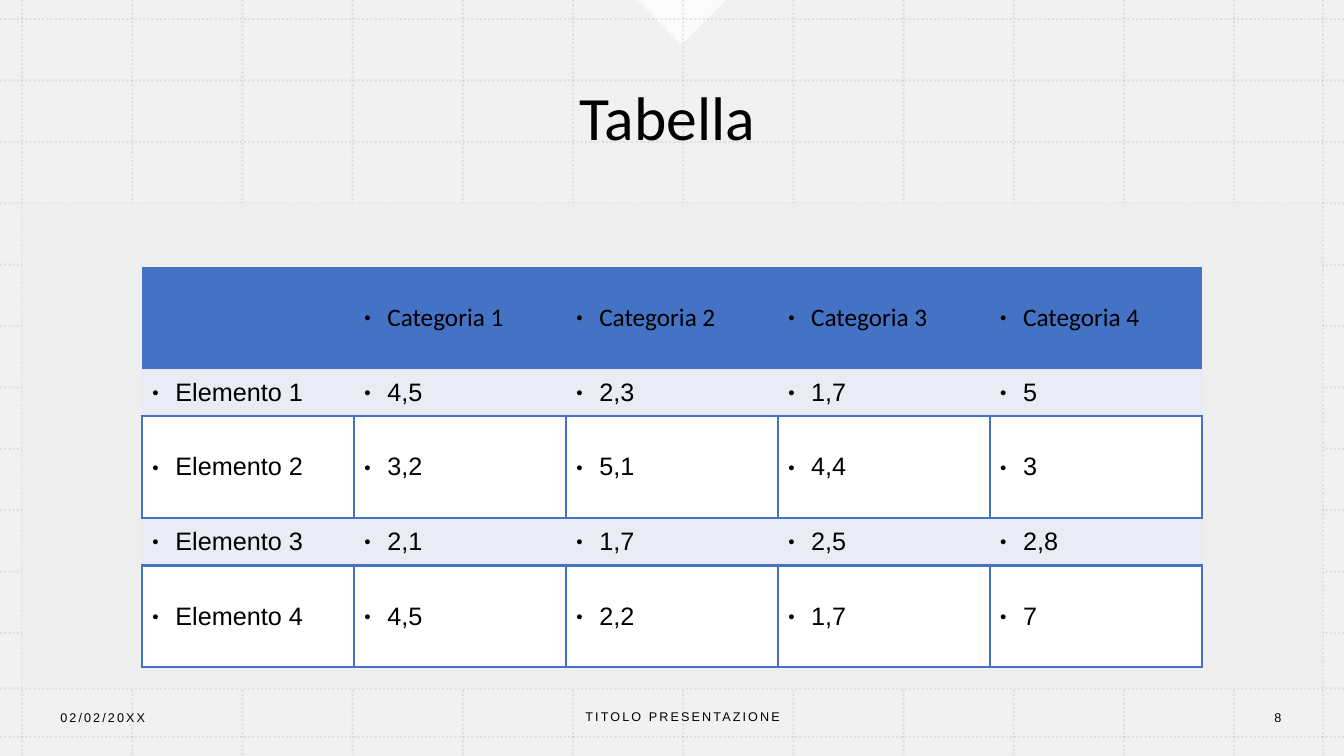
from pptx import Presentation
from pptx import util as u
from pptx.dml.color import RGBColor
from pptx.enum import dml, shapes, text
from pptx.oxml import ns, xmlchemy

Inches = u.Inches
COLORS = {"wash": "EEEEEE", "white": "FFFFFF", "grid": "9A9A9A", "ink": "000000",
          "blue": "4472C4", "band": "E9EBF5"}
NO_GRID_STYLE = "{2D5ABB26-0587-4C30-8999-92F81FD0307C}"
FOOTER = {"size": u.Pt(9), "name": "Arial"}
ROWS = [
    ["", "Categoria 1", "Categoria 2", "Categoria 3", "Categoria 4"],
    ["Elemento 1", "4,5", "2,3", "1,7", "5"],
    ["Elemento 2", "3,2", "5,1", "4,4", "3"],
    ["Elemento 3", "2,1", "1,7", "2,5", "2,8"],
    ["Elemento 4", "4,5", "2,2", "1,7", "7"],
]


def color(name):
    """Return a named colour."""
    return RGBColor.from_string(COLORS[name])


def add_element(parent, tag, **attributes):
    """Append an XML element with the given attributes."""
    element = xmlchemy.OxmlElement(tag)
    for key, value in attributes.items():
        element.set(key, str(value))
    parent.append(element)
    return element


def set_opacity(shape, percent):
    """Make the colours of a shape partly transparent."""
    for tint in shape._element.spPr.iter(ns.qn("a:srgbClr")):
        add_element(tint, "a:alpha", val=percent * 1000)


def set_font(font, formats):
    """Apply format values and the ink colour to a font."""
    for key, value in formats.items():
        setattr(font, key, value)
    font.color.rgb = color("ink")


def add_outline(page, points, fill, opacity=100):
    """Add a filled polygon."""
    corners = [(Inches(x), Inches(y)) for x, y in points]
    builder = page.shapes.build_freeform(*corners[0])
    builder.add_line_segments(corners[1:], close=True)
    shape = builder.convert_to_shape()
    shape.shadow.inherit = False
    shape.fill.solid()
    shape.fill.fore_color.rgb = color(fill)
    shape.line.fill.background()
    set_opacity(shape, opacity)


def add_panel(page, left, top, right, bottom, opacity=100):
    """Add a pale rectangle."""
    add_outline(page, [(left, top), (right, top), (right, bottom), (left, bottom)],
                "wash", opacity)


def add_grid_line(page, *ends):
    """Add one faint dotted line."""
    line = page.shapes.add_connector(shapes.MSO_CONNECTOR.STRAIGHT, *map(Inches, ends))
    line.line.color.rgb = color("grid")
    line.line.width = u.Pt(1.5)
    line.line.dash_style = dml.MSO_LINE.ROUND_DOT
    add_element(line._element.spPr, "a:effectLst")
    set_opacity(line, 20)


def add_grid(page):
    """Add the background grid."""
    for x in [0.22 + 1.0927 * i for i in range(12)] + [13.12]:
        add_grid_line(page, x, 0, x, 7.5)
    for y in [0.19 + 0.609 * i for i in range(11)] + [6.83, 7.31]:
        add_grid_line(page, 0, y, 13.33, y)


def add_text(page, place, words, formats, align="CENTER", tracking=0, line_spacing=1.0):
    """Add a vertically centred line of text."""
    box = page.shapes.add_textbox(*map(Inches, place))
    box.text_frame.word_wrap = True
    box.text_frame.vertical_anchor = text.MSO_ANCHOR.MIDDLE
    para = box.text_frame.paragraphs[0]
    para.alignment = getattr(text.PP_ALIGN, align)
    para.line_spacing = line_spacing
    span = para.add_run()
    span.text = words
    set_font(span.font, formats)
    if tracking:
        span.font._element.set("spc", str(tracking))


def add_bullet(para):
    """Give a paragraph a small hanging bullet."""
    properties = para._p.get_or_add_pPr()
    properties.set("marL", str(Inches(0.23)))
    properties.set("indent", str(Inches(-0.23)))
    tint = add_element(properties, "a:buClr")
    add_element(tint, "a:srgbClr", val=COLORS["ink"])
    add_element(properties, "a:buSzPct", val=45000)
    add_element(properties, "a:buFont", typeface="Arial")
    add_element(properties, "a:buChar", char="●")


def add_borders(cell):
    """Outline a cell in blue."""
    properties = cell._tc.get_or_add_tcPr()
    for side in "LRTB":
        line = add_element(properties, f"a:ln{side}", w=u.Pt(1.98))
        fill = add_element(line, "a:solidFill")
        add_element(fill, "a:srgbClr", val=COLORS["blue"])


def fill_cell(cell, words, fill, font_name):
    """Write and format one table cell."""
    cell.vertical_anchor = text.MSO_ANCHOR.MIDDLE
    if fill == "white":
        add_borders(cell)
    cell.fill.solid()
    cell.fill.fore_color.rgb = color(fill)
    if words:
        para = cell.text_frame.paragraphs[0]
        add_bullet(para)
        span = para.add_run()
        span.text = words
        set_font(span.font, {"size": u.Pt(18), "name": font_name})


def add_data_table(page):
    """Add the table of items and categories."""
    place = map(Inches, (1.41, 2.65, 10.51, 3.97))
    table = page.shapes.add_table(len(ROWS), len(ROWS[0]), *place).table
    table.first_row = table.horz_banding = False
    table._tbl.tblPr.find(ns.qn("a:tableStyleId")).text = NO_GRID_STYLE
    for number, row in enumerate(ROWS):
        banded = number % 2 == 1
        table.rows[number].height = Inches(0.47 if banded else 1.01)
        fill = "blue" if number == 0 else "band" if banded else "white"
        for column, words in enumerate(row):
            fill_cell(table.cell(number, column), words, fill,
                      "Arial" if number else "Calibri")


def main():
    """Build and save the slide."""
    deck = Presentation()
    deck.slide_width, deck.slide_height = Inches(13.33), Inches(7.5)
    page = deck.slides.add_slide(deck.slide_layouts[6])
    add_panel(page, 0, 0, 13.33, 7.5, opacity=80)
    add_outline(page, [(6.32, 0), (7.2, 0), (6.76, 0.44)], "white", opacity=75)
    add_grid(page)
    add_panel(page, 0.22, 2.01, 13.11, 6.83)
    add_text(page, (0.33, 0.38, 12.58, 1.64), "Tabella",
             {"size": u.Pt(44), "name": "Calibri"}, line_spacing=0.9)
    add_data_table(page)
    add_text(page, (0.5, 6.92, 2.8, 0.4), "02/02/20XX", FOOTER, "LEFT", tracking=150)
    add_text(page, (4.59, 6.91, 4.36, 0.4), "TITOLO PRESENTAZIONE", FOOTER, tracking=150)
    add_text(page, (12.24, 6.92, 0.87, 0.4), "8", FOOTER, tracking=150)
    deck.save("out.pptx")


if __name__ == "__main__":
    main()
